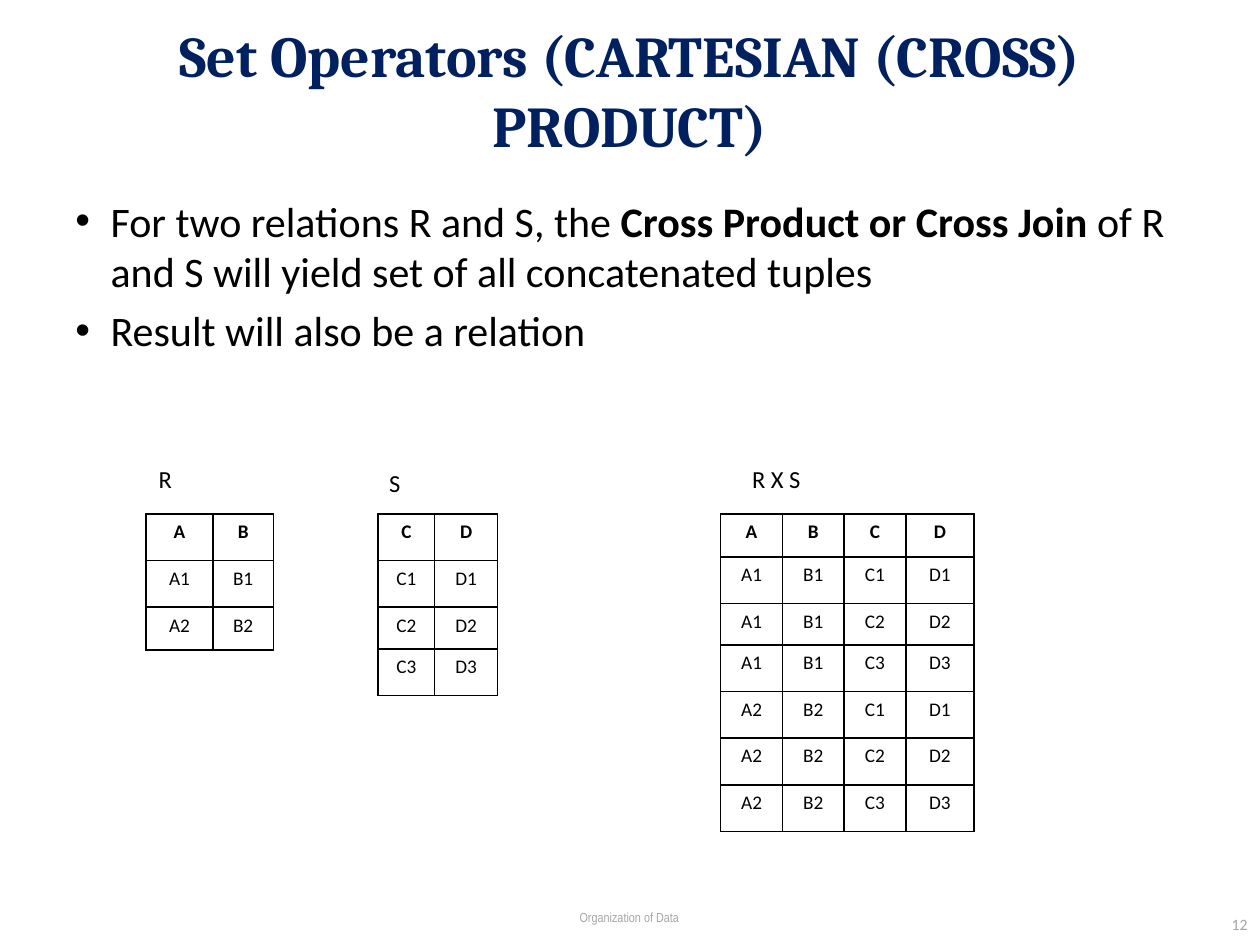
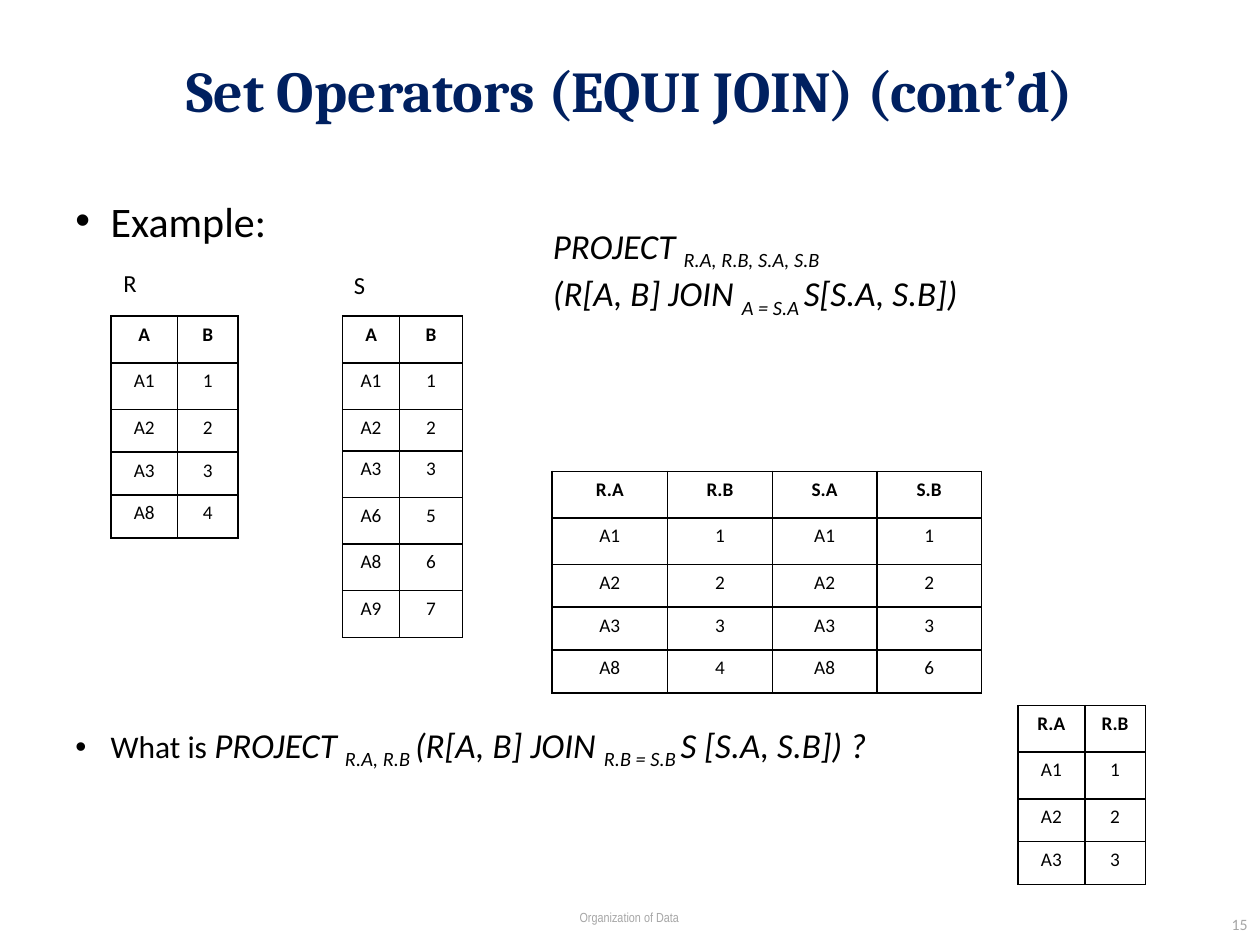
"""Build two slides on relational set operators: cross product and equi join."""
from itertools import product

from lxml.etree import SubElement
from pptx import Presentation
from pptx.dml.color import RGBColor
from pptx.enum.text import MSO_ANCHOR, PP_ALIGN
from pptx.oxml.ns import qn
from pptx.util import Inches, Pt

COLORS = {"title": "002060", "text": "000000", "footer": "A6A6A6", "cell": "FFFFFF"}
TALL, LOW, SHORT = 0.37, 0.34, 0.33
R_COLUMNS, S_COLUMNS = [0.53, 0.48], [0.45, 0.5]


def add_text(page, place, paragraphs, size, font="Calibri", color="text", align=PP_ALIGN.LEFT,
             anchor=MSO_ANCHOR.TOP, wrap=True, bullet=False):
    """Add a text box; each paragraph is a list of (text, size or None, flags b/i/s)."""
    box = page.shapes.add_textbox(*[Inches(length) for length in place])
    frame = box.text_frame
    frame.word_wrap = wrap
    frame.vertical_anchor = anchor
    for index, pieces in enumerate(paragraphs):
        paragraph = frame.paragraphs[0] if index == 0 else frame.add_paragraph()
        paragraph.alignment = align
        if bullet:
            paragraph.space_before = Pt(5)
            properties = paragraph._p.get_or_add_pPr()
            properties.set("marL", str(Inches(0.28)))
            properties.set("indent", str(-Inches(0.28)))
            SubElement(properties, qn("a:buFont")).set("typeface", "Arial")
            SubElement(properties, qn("a:buChar")).set("char", "•")
        for text, own_size, flags in pieces:
            span = paragraph.add_run()
            span.text = text
            span.font.name = font
            span.font.size = Pt(own_size or size)
            span.font.color.rgb = RGBColor.from_string(COLORS[color])
            span.font.bold = "b" in flags
            span.font.italic = "i" in flags
            if "s" in flags:
                span._r.get_or_add_rPr().set("baseline", "-25000")


def add_relation(page, left, top, widths, heights, rows):
    """Add a ruled table whose first row holds the attribute names."""
    frame = page.shapes.add_table(len(rows), len(widths), Inches(left), Inches(top),
                                  Inches(sum(widths)), Inches(sum(heights)))
    table = frame.table
    table.first_row = table.horz_banding = False
    for column, width in zip(table.columns, widths):
        column.width = Inches(width)
    for row, height in zip(table.rows, heights):
        row.height = Inches(height)
    for (row, values) in enumerate(rows):
        for column, value in enumerate(values):
            cell = table.cell(row, column)
            cell.text = value
            paragraph = cell.text_frame.paragraphs[0]
            paragraph.alignment = PP_ALIGN.CENTER
            font = paragraph.runs[0].font
            font.name, font.size, font.bold = "Calibri", Pt(11), row == 0
            font.color.rgb = RGBColor.from_string(COLORS["text"])
            properties = cell._tc.get_or_add_tcPr()
            for edge in ("a:lnL", "a:lnR", "a:lnT", "a:lnB"):
                line = SubElement(properties, qn(edge), w=str(Pt(1)))
                fill = SubElement(line, qn("a:solidFill"))
                SubElement(fill, qn("a:srgbClr"), val=COLORS["text"])
            cell.fill.solid()
            cell.fill.fore_color.rgb = RGBColor.from_string(COLORS["cell"])


deck = Presentation()
deck.slide_width, deck.slide_height = Inches(10), Inches(7.5)

pages = []
for title, number, labels in [
    ("Set Operators (CARTESIAN (CROSS) PRODUCT)", "12",
     [("R X S", 5.87, 3.61, 0.59), ("R", 1.16, 3.61, 0.29), ("S", 2.99, 3.64, 0.29)]),
    ("Set Operators (EQUI JOIN) (cont’d)", "15",
     [("R", 0.88, 2.05, 0.29), ("S", 2.71, 2.07, 0.29)]),
]:
    page = deck.slides.add_slide(deck.slide_layouts[6])
    pages.append(page)
    add_text(page, (0.5, 0, 9, 1.42), [[(title, None, "b")]], 33, "Cambria", "title",
             PP_ALIGN.CENTER, MSO_ANCHOR.MIDDLE)
    add_text(page, (2.83, 7.17, 4.33, 0.31), [[("Organization of Data", None, "")]], 7.5,
             "Arial Narrow", "footer", PP_ALIGN.CENTER)
    add_text(page, (7.17, 7.17, 2.83, 0.33), [[(number, None, "")]], 9, color="footer",
             align=PP_ALIGN.RIGHT, anchor=MSO_ANCHOR.MIDDLE)
    for name, left, top, width in labels:
        add_text(page, (left, top, width, 0.38), [[(name, None, "")]], 14,
                 anchor=MSO_ANCHOR.MIDDLE, wrap=False)
cross_page, join_page = pages

add_text(cross_page, (0.5, 1.5, 9, 5.2), [
    [("For two relations R and S, the ", None, ""),
     ("Cross Product or Cross Join ", None, "b"),
     ("of R and S will yield set of all concatenated tuples", None, "")],
    [("Result will also be a relation", None, "")],
], 24, bullet=True)
r_rows = [["A1", "B1"], ["A2", "B2"]]
s_rows = [["C1", "D1"], ["C2", "D2"], ["C3", "D3"]]
cross_rows = [r + s for r, s in product(r_rows, s_rows)]
add_relation(cross_page, 1.16, 4.08, R_COLUMNS, [TALL, TALL, LOW], [["A", "B"]] + r_rows)
add_relation(cross_page, 3, 4.08, S_COLUMNS, [TALL, TALL, SHORT, TALL], [["C", "D"]] + s_rows)
add_relation(cross_page, 5.72, 4.08, [0.49] * 3 + [0.54], [LOW, TALL, SHORT] + [TALL] * 4,
             [["A", "B", "C", "D"]] + cross_rows)

add_text(join_page, (0.5, 1.5, 3.5, 0.5), [[("Example:", None, "")]], 24, bullet=True)
add_text(join_page, (0.5, 5.69, 7.5, 0.5), [
    [("What is ", 18, ""), ("PROJECT ", None, "i"), ("R.A, R.B ", None, "is"),
     ("(R[A, B] JOIN ", None, "i"), ("R.B = S.B ", None, "is"),
     ("S [S.A, S.B]) ?", None, "i")],
], 20, bullet=True)
add_text(join_page, (4.29, 1.73, 5.43, 0.77), [
    [("PROJECT ", None, "i"), ("R.A, R.B, S.A, S.B", None, "is")],
    [("(R[A, B] JOIN ", None, "i"), ("A = S.A ", None, "is"), ("S[S.A, S.B])", None, "i")],
], 20)
r_rows = [["A1", "1"], ["A2", "2"], ["A3", "3"], ["A8", "4"]]
s_rows = [["A1", "1"], ["A2", "2"], ["A3", "3"], ["A6", "5"], ["A8", "6"], ["A9", "7"]]
join_on_a = [r + s for r, s in product(r_rows, s_rows) if r[0] == s[0]]
join_on_b = [r for r, s in product(r_rows, s_rows) if r[1] == s[1]]
r_heights = [TALL] * 2 + [LOW] * 3
add_relation(join_page, 0.88, 2.51, R_COLUMNS, r_heights, [["A", "B"]] + r_rows)
add_relation(join_page, 2.72, 2.51, S_COLUMNS, [TALL, TALL, SHORT] + [TALL] * 4,
             [["A", "B"]] + s_rows)
add_relation(join_page, 4.38, 3.74, [0.92] + [0.83] * 3, r_heights,
             [["R.A", "R.B", "S.A", "S.B"]] + join_on_a)
add_relation(join_page, 8.08, 5.6, R_COLUMNS, r_heights[:4], [["R.A", "R.B"]] + join_on_b)

deck.save("out.pptx")
